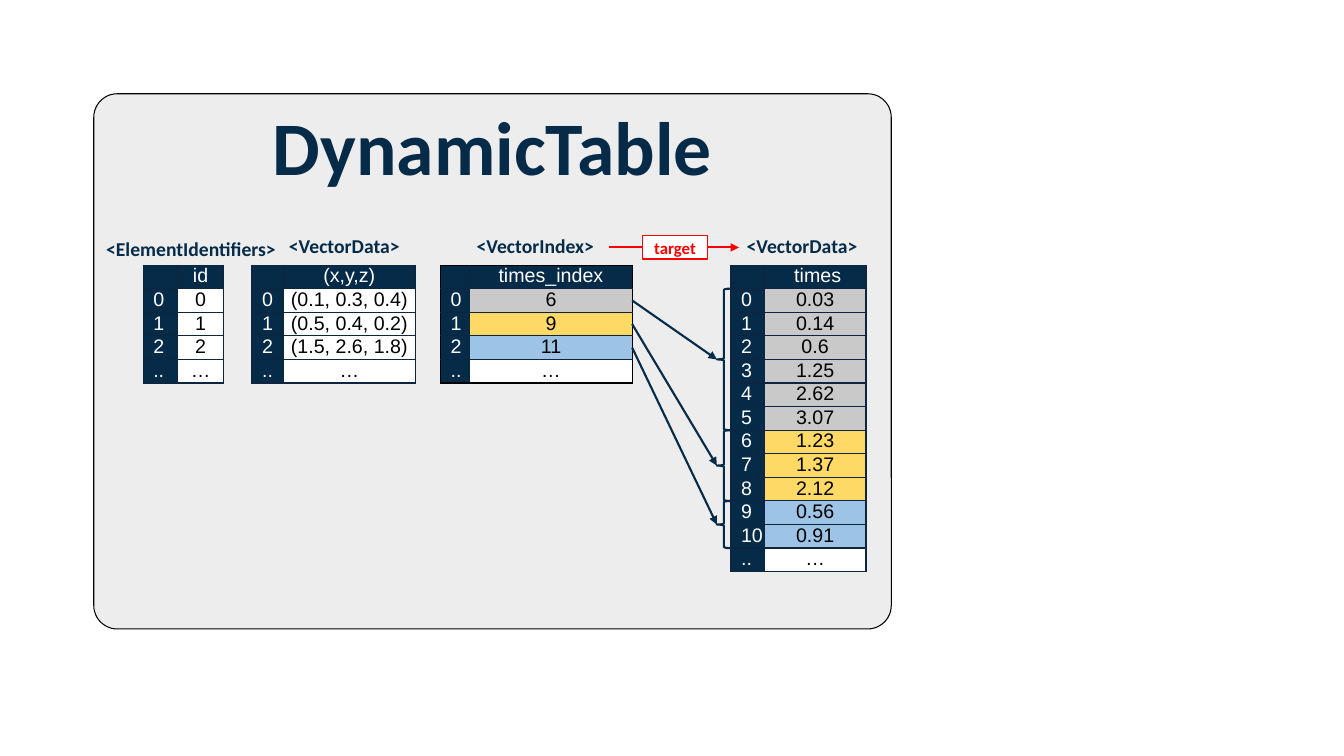
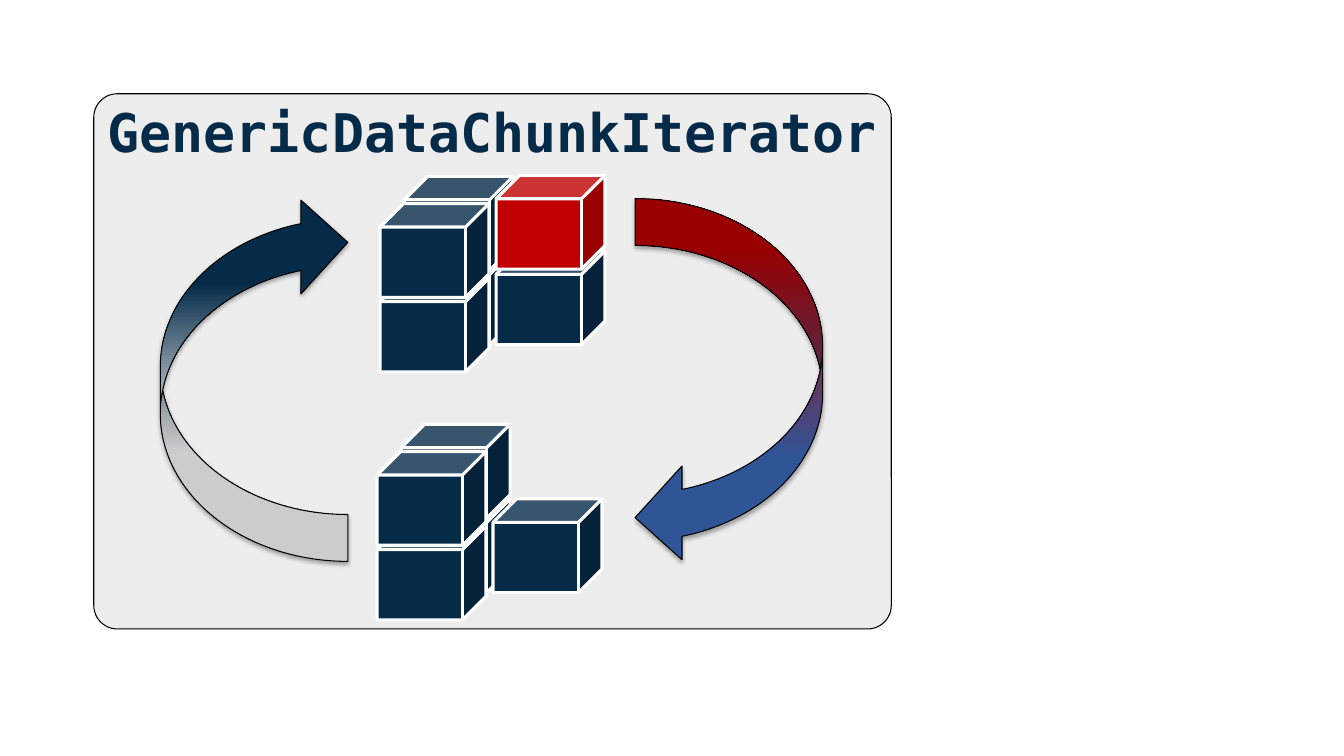
from dataclasses import dataclass

from lxml import etree
from pptx import Presentation, util as u
from pptx.dml.color import RGBColor
from pptx.enum import shapes, text
from pptx.oxml import ns

UNIT = u.Inches(0.1)
ROW = 2.34
COLORS = {
    "navy": "052B48", "rule": "0F243E", "panel": "EDEDED", "white": "FFFFFF",
    "black": "000000", "gray": "C9C9C9", "yellow": "FFD966", "sky": "9DC3E6",
    "red": "FF0000", "crimson": "C00000", "blue": "2F5597",
}
PRESET = shapes.MSO_SHAPE
CENTER, LEFT = text.PP_ALIGN.CENTER, text.PP_ALIGN.LEFT


@dataclass
class Box:
    x: float
    y: float
    w: float
    h: float

    def inside(self, x, y, w, h):
        return Box(self.x + x, self.y + y, w, h)

    def emu(self):
        return [grid(n) for n in (self.x, self.y, self.w, self.h)]


PANEL = Box(9.3, 9.3, 79.1, 53.1)


def grid(n):
    return u.Emu(round(n * UNIT))


def rgb(name):
    return RGBColor.from_string(COLORS[name])


def child(parent, tag, **attributes):
    return etree.SubElement(parent, ns.qn(tag), attributes)


def style(run_font, size, font, color, bold):
    run_font.size, run_font.name, run_font.bold = u.Pt(size), font, bold
    run_font.color.rgb = rgb(color)


def write(frame, content, size=14, font="Calibri", color="navy", bold=True,
          align=CENTER, anchor=text.MSO_ANCHOR.MIDDLE):
    frame.word_wrap = True
    frame.vertical_anchor = anchor
    frame.margin_left = frame.margin_right = frame.margin_top = frame.margin_bottom = 0
    paragraph = frame.paragraphs[0]
    paragraph.alignment = align
    run = paragraph.add_run()
    run.text = content
    style(run.font, size, font, color, bold)


def add_label(slide, box, content, **fmt):
    write(slide.shapes.add_textbox(*box.emu()).text_frame, content, **fmt)


def add_preset(parent, preset, box, fill=None, line="black", width=0.75):
    shape = parent.shapes.add_shape(preset, *box.emu())
    shape.shadow.inherit = False
    if fill:
        shape.fill.solid()
        shape.fill.fore_color.rgb = rgb(fill)
    else:
        shape.fill.background()
    shape.line.color.rgb = rgb(line)
    shape.line.width = u.Pt(width)
    return shape


def add_arrow(slide, start, end, color="navy"):
    arrow = slide.shapes.add_connector(
        shapes.MSO_CONNECTOR.STRAIGHT, *(grid(n) for n in (*start, *end)))
    arrow.line.color.rgb = rgb(color)
    arrow.line.width = u.Pt(1.5)
    properties = arrow._element.spPr
    child(properties.find(ns.qn("a:ln")), "a:tailEnd", type="triangle")
    child(properties, "a:effectLst")
    return arrow


def add_panel(deck, title, **fmt):
    slide = deck.slides.add_slide(deck.slide_layouts[6])
    panel = add_preset(slide, PRESET.ROUNDED_RECTANGLE, PANEL, "panel")
    panel.adjustments[0] = 0.044
    add_label(slide, PANEL.inside(0, 0.6, PANEL.w, 8), title,
              anchor=text.MSO_ANCHOR.TOP, **fmt)
    return slide


def set_borders(cell, edges):
    properties = cell._tc.get_or_add_tcPr()
    for i, (side, color) in enumerate(edges.items()):
        line = etree.Element(ns.qn(f"a:ln{side}"), w=str(u.Pt(1)))
        child(child(line, "a:solidFill"), "a:srgbClr", val=COLORS[color])
        properties.insert(i, line)


def fill_cell(cell, content, fill, color, align=CENTER, indent=0):
    cell.fill.solid()
    cell.fill.fore_color.rgb = rgb(fill)
    cell.margin_left = grid(indent)
    cell.margin_right = cell.margin_top = cell.margin_bottom = 0
    paragraph = cell.text_frame.paragraphs[0]
    paragraph.alignment = align
    if content:
        run = paragraph.add_run()
        run.text = content
        style(run.font, 14, "Arial", color, False)
    else:
        child(paragraph._p, "a:endParaRPr", sz="1400")


def add_column(slide, corner, widths, header, values, fills=(), outline="rule",
               header_indent=0):
    count = len(values) + 2
    box = PANEL.inside(*corner, sum(widths), count * ROW)
    table = slide.shapes.add_table(count, 2, *box.emu()).table
    table.first_row = table.horz_banding = False
    for column, width in zip(table.columns, widths):
        column.width = grid(width)
    indexes = ["", *map(str, range(len(values))), ".."]
    contents = [header, *values, "…"]
    backgrounds = ["navy", *(fills or ["white"] * len(values)), "white"]
    for r, (index, content, fill) in enumerate(zip(indexes, contents, backgrounds)):
        table.rows[r].height = grid(ROW)
        fill_cell(table.cell(r, 0), index, "navy", "white", LEFT, 1)
        fill_cell(table.cell(r, 1), content, fill, "black" if r else "white",
                  indent=0 if r else header_indent)
        for c in range(2):
            outer = {"L": c == 0, "R": c == 1, "T": r == 0, "B": r == count - 1}
            set_borders(table.cell(r, c),
                        {side: outline if out else "rule" for side, out in outer.items()})
    return box


def add_target(slide, box):
    middle = box.y + box.h / 2
    add_arrow(slide, (box.x, middle), (box.x + box.w, middle), "red")
    tag = add_preset(slide, PRESET.RECTANGLE, box.inside(3.3, 0, 6.5, box.h), "white", "red")
    write(tag.text_frame, "target", size=12, color="red")


def link_groups(slide, index_box, times_box, ends):
    first = 0
    for i, end in enumerate(ends):
        group = times_box.inside(-1.4, (first + 1) * ROW, 1.4, (end - first) * ROW)
        brace = add_preset(slide, PRESET.LEFT_BRACE, group, line="navy", width=1.5)
        start = (index_box.x + index_box.w, index_box.y + (i + 1.5) * ROW)
        add_arrow(slide, start, (group.x, group.y)).end_connect(brace, 1)
        first = end


def build_dynamic_table(deck):
    slide = add_panel(deck, "DynamicTable", size=54)
    top = 17
    ends = [6, 9, 11]
    group_fills = ["gray", "yellow", "sky"]
    times = ["0.03", "0.14", "0.6", "1.25", "2.62", "3.07",
             "1.23", "1.37", "2.12", "0.56", "0.91"]
    time_fills = [fill for fill, size in zip(group_fills, (6, 3, 2)) for _ in range(size)]
    add_column(slide, (4.9, top), (3.4, 4.6), "id", ["0", "1", "2"])
    add_column(slide, (15.7, top), (3.1, 13.1), "(x,y,z)",
               ["(0.1, 0.3, 0.4)", "(0.5, 0.4, 0.2)", "(1.5, 2.6, 1.8)"])
    index_box = add_column(slide, (34.4, top), (2.9, 16.1), "times_index",
                           [str(end) for end in ends], group_fills, "black")
    times_box = add_column(slide, (63.2, top), (3.3, 10.1), "times", times, time_fills,
                           header_indent=0.5)
    link_groups(slide, index_box, times_box, ends)
    for x, y, width, kind in ((0.6, 13.7, 18.1, "<ElementIdentifiers>"),
                              (18.9, 13.4, 11.9, "<VectorData>"),
                              (34.4, 13.4, 18.8, "<VectorIndex>"),
                              (64.3, 13.4, 11.9, "<VectorData>")):
        add_label(slide, PANEL.inside(x, y, width, 3.4), kind)
    add_target(slide, PANEL.inside(51.1, 14.1, 12.9, 2.3))


def add_cycle_arrow(slide, box, flip, stops):
    arrow = add_preset(slide, PRESET.CURVED_RIGHT_ARROW, box)
    arrow.fill.gradient()
    arrow.fill.gradient_angle = 90
    for stop, (position, color) in zip(arrow.fill.gradient_stops, stops):
        stop.position = position
        stop.color.rgb = rgb(color)
    properties = arrow._element.spPr
    properties.find(ns.qn("a:xfrm")).set(flip, "1")
    shadow = child(properties.find(ns.qn("a:effectLst")), "a:outerShdw",
                   blurRad="40000", dist="23000", dir="5400000", rotWithShape="0")
    child(child(shadow, "a:srgbClr", val=COLORS["black"]), "a:alpha", val="35000")


def add_cube(parent, corner, color="navy"):
    add_preset(parent, PRESET.CUBE, PANEL.inside(*corner, 10.8, 9.3), color, "white", 2.25)


def add_chunks(slide, x, y):
    chunks = slide.shapes.add_group_shape()
    for dx, dy in ((2.4, 7.4), (11.5, 7.4), (2.4, 0), (0, 10.1), (0, 2.7)):
        add_cube(chunks, (x + dx, y + dy))


def build_chunk_iterator(deck):
    slide = add_panel(deck, "GenericDataChunkIterator", size=38, font="DejaVu Sans Mono")
    add_cycle_arrow(slide, PANEL.inside(6.6, 10.1, 18.6, 36.3), "flipV",
                    ((0.24, "navy"), (0.7, "white")))
    add_cycle_arrow(slide, PANEL.inside(53.7, 10.4, 18.6, 36.3), "flipH",
                    ((0.29, "blue"), (0.87, "crimson")))
    add_chunks(slide, 28.1, 32.8)
    add_chunks(slide, 28.4, 8.2)
    add_cube(slide, (39.9, 8.1), "crimson")


def main():
    deck = Presentation()
    deck.slide_width, deck.slide_height = u.Inches(13.33), u.Inches(7.5)
    build_dynamic_table(deck)
    build_chunk_iterator(deck)
    deck.save("out.pptx")


if __name__ == "__main__":
    main()
